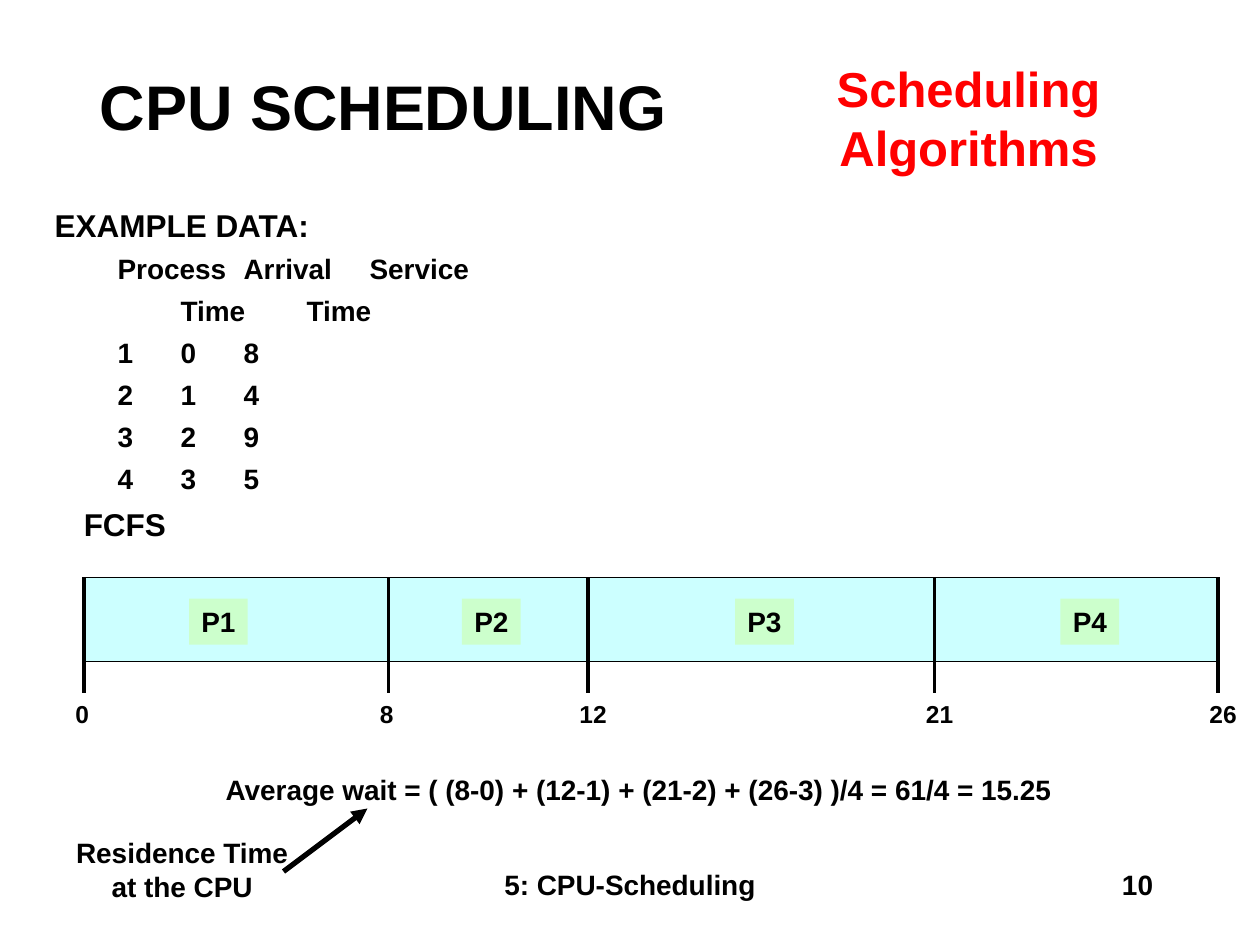
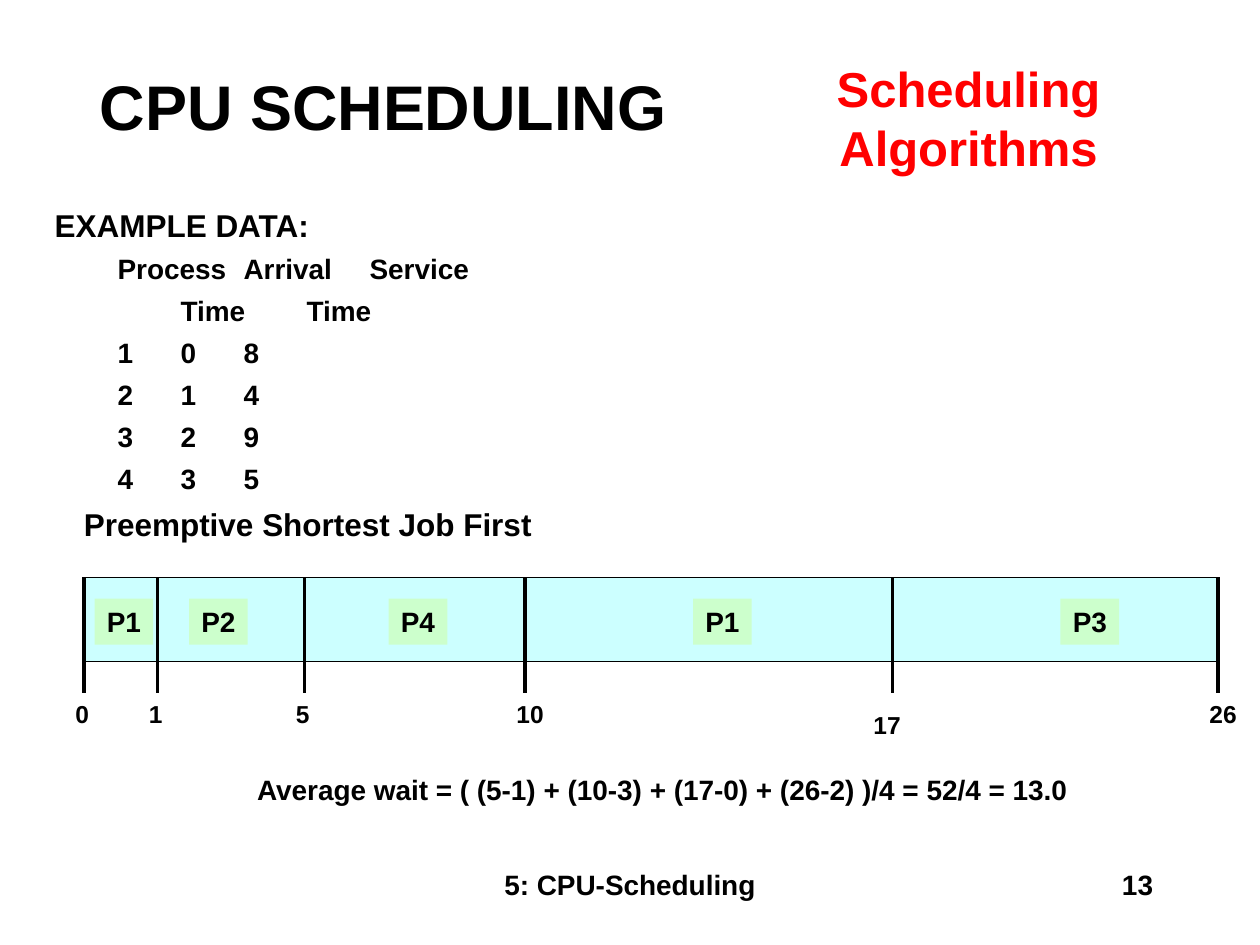
from lxml.etree import SubElement
from pptx import Presentation
from pptx.dml.color import RGBColor
from pptx.enum.shapes import MSO_CONNECTOR, MSO_SHAPE
from pptx.enum.text import MSO_ANCHOR, MSO_AUTO_SIZE, PP_ALIGN
from pptx.oxml.ns import qn
from pptx.util import Inches, Pt

# Content
TITLE = "CPU SCHEDULING"
TOPIC = ["Scheduling", "Algorithms"]
FOOTER = "5: CPU-Scheduling"
DATA_HEADING = "EXAMPLE DATA:"
HEADERS = [("Process", "Arrival", "Service"), ("", "Time", "Time")]
PROCESSES = [(1, 0, 8), (2, 1, 4), (3, 2, 9), (4, 3, 5)]

# Ticks are (time, column), jobs are (name, column), on a grid of twelfths of an inch
SLIDES = [
    {
        "number": "10",
        "algorithm": ("FCFS", 10.2),
        "ticks": [("0", 8), ("8", 37), ("12", 56), ("21", 89), ("26", 116)],
        "jobs": [("P1", 18), ("P2", 44), ("P3", 70), ("P4", 101)],
        "wait": ("Average wait = ( (8-0) + (12-1) + (21-2) + (26-3) )/4 = 61/4 = 15.25", 20.3, 81.1),
        "remark": ["Residence Time", "at the CPU"],
    },
    {
        "number": "13",
        "algorithm": ("Preemptive Shortest Job First", 45),
        "ticks": [("0", 8), ("1", 15), ("5", 29), ("10", 50), ("17", 85), ("26", 116)],
        "lowered": "17",
        "jobs": [("P1", 9), ("P2", 18), ("P4", 37), ("P1", 66), ("P3", 101)],
        "wait": ("Average wait = ( (5-1) + (10-3) + (17-0) + (26-2) )/4 = 52/4 = 13.0", 23.3, 79.7),
    },
]

# Shared look
FONT = "Arial"
BLACK, RED, BAR_BLUE, JOB_GREEN = "000000", "FF0000", "CCFFFF", "CCFFCC"
BAR_LEFT, BAR_RIGHT, BAR_TOP, BAR_BOTTOM, TICK_BOTTOM = 8, 116, 55, 63, 66
HEADER_TABS = [(2.75, "l"), (4.76, "l"), (7.17, "ctr")]
VALUE_TABS = [(3.06, "ctr"), (5.06, "ctr"), (7.17, "ctr")]


def grid(*cells):
    return [Inches(cell / 12) for cell in cells]


def color(value):
    return RGBColor.from_string(value)


def write(shape, lines, size=16, ink=BLACK, align=PP_ALIGN.LEFT, wrap=True, anchor=MSO_ANCHOR.TOP):
    frame = shape.text_frame
    frame.auto_size = MSO_AUTO_SIZE.NONE
    frame.word_wrap = wrap
    frame.vertical_anchor = anchor
    frame.text = lines if isinstance(lines, str) else "\n".join(lines)
    for paragraph in frame.paragraphs:
        paragraph.alignment = align
        for run in paragraph.runs:
            run.font.name, run.font.size, run.font.bold = FONT, Pt(size), True
            run.font.color.rgb = color(ink)
    return shape


def add_text(slide, lines, place, **style):
    return write(slide.shapes.add_textbox(*grid(*place)), lines, **style)


def move(shape, *place):
    shape.left, shape.top, shape.width, shape.height = grid(*place)


def add_box(slide, place, fill):
    box = slide.shapes.add_shape(MSO_SHAPE.RECTANGLE, *grid(*place))
    box.shadow.inherit = False
    box.fill.solid()
    box.fill.fore_color.rgb = color(fill)
    box.line.fill.background()
    return box


def add_line(slide, ends, width, arrow=False):
    connector = slide.shapes.add_connector(MSO_CONNECTOR.STRAIGHT, *grid(*ends))
    connector.line.color.rgb = color(BLACK)
    connector.line.width = Pt(width)
    if arrow:
        SubElement(connector.line._get_or_add_ln(), qn("a:tailEnd"), type="triangle")
    SubElement(connector._element.spPr, qn("a:effectLst"))


def format_row(paragraph, tabs):
    paragraph.space_before = Pt(4.8)
    properties = paragraph._p.get_or_add_pPr()
    properties.set("marL", "0")
    properties.set("indent", "0")
    SubElement(properties, qn("a:buNone"))
    if tabs:
        stops = SubElement(properties, qn("a:tabLst"))
        for position, align in tabs:
            SubElement(stops, qn("a:tab"), pos=str(Inches(position)), algn=align)


def fill_data(body):
    rows = ["\t" + "\t".join(map(str, row)) for row in HEADERS + PROCESSES]
    move(body, 4, 19, 113, 28)
    write(body, [DATA_HEADING] + rows)
    tabs = [None] + [HEADER_TABS] * len(HEADERS) + [VALUE_TABS] * len(PROCESSES)
    for paragraph, stops in zip(body.text_frame.paragraphs, tabs):
        format_row(paragraph, stops)
    body.text_frame.paragraphs[0].runs[0].font.size = Pt(18)


def add_timeline(slide, ticks, jobs, lowered=None):
    bar = add_box(slide, (BAR_LEFT, BAR_TOP, BAR_RIGHT - BAR_LEFT, BAR_BOTTOM - BAR_TOP), BAR_BLUE)
    bar.line.color.rgb = color(BLACK)
    bar.line.width = Pt(0.75)
    for name, column in jobs:
        job = add_box(slide, (column, 57, 5.6, 4.4), JOB_GREEN)
        write(job, name, wrap=False)
    for time, column in ticks:
        add_line(slide, (column, BAR_TOP, column, TICK_BOTTOM), 2.25)
        drop = 1 if time == lowered else 0
        width = 2.5 + 1.2 * len(time)
        add_text(slide, time, (column - 2 - drop, TICK_BOTTOM + drop, width, 4), size=14, wrap=False)


def add_frame(slide, number):
    title = slide.shapes.title
    move(title, 7, 4, 59, 12)
    write(title, TITLE, size=36, align=PP_ALIGN.CENTER, anchor=MSO_ANCHOR.MIDDLE)
    add_text(slide, TOPIC, (71, 5, 42.5, 12.5), size=28, ink=RED, align=PP_ALIGN.CENTER)
    add_text(slide, FOOTER, (41, 82, 38, 6), align=PP_ALIGN.CENTER)
    add_text(slide, number, (86, 82, 25, 6), align=PP_ALIGN.RIGHT)


def main():
    presentation = Presentation()
    presentation.slide_width, presentation.slide_height = Inches(10), Inches(7.5)
    for content in SLIDES:
        slide = presentation.slides.add_slide(presentation.slide_layouts[1])
        add_frame(slide, content["number"])
        fill_data(slide.placeholders[1])
        add_timeline(slide, content["ticks"], content["jobs"], content.get("lowered"))

        # Algorithm name and result
        name, name_width = content["algorithm"]
        add_text(slide, name, (6.8, 47.5, name_width, 4.8), size=18, wrap=False)
        formula, left, width = content["wait"]
        add_text(slide, formula, (left, 73, width, 4.4), wrap=False)

        # Remark that points at the result
        if "remark" in content:
            add_text(slide, content["remark"], (6, 79, 22.7, 7.7), align=PP_ALIGN.CENTER, wrap=False)
            add_line(slide, (27, 83, 35, 77), 3, arrow=True)
    presentation.save("out.pptx")


if __name__ == "__main__":
    main()
